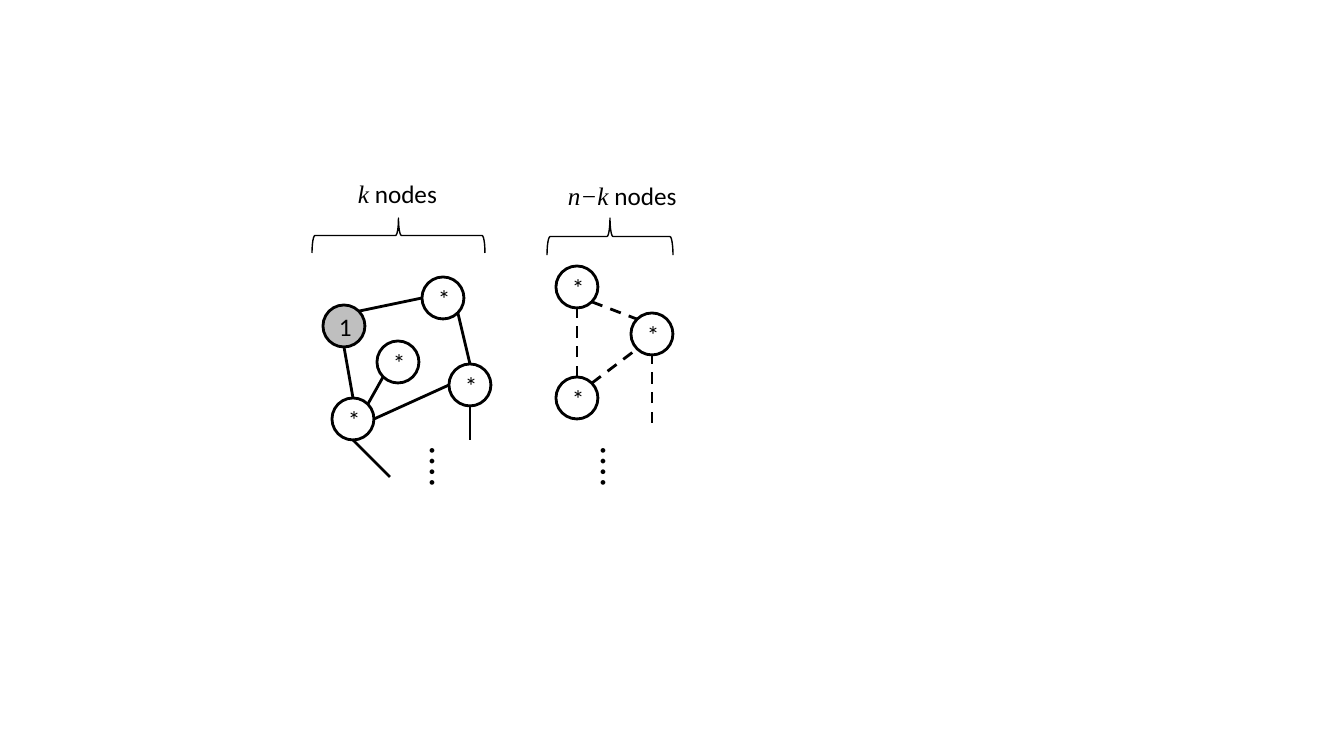
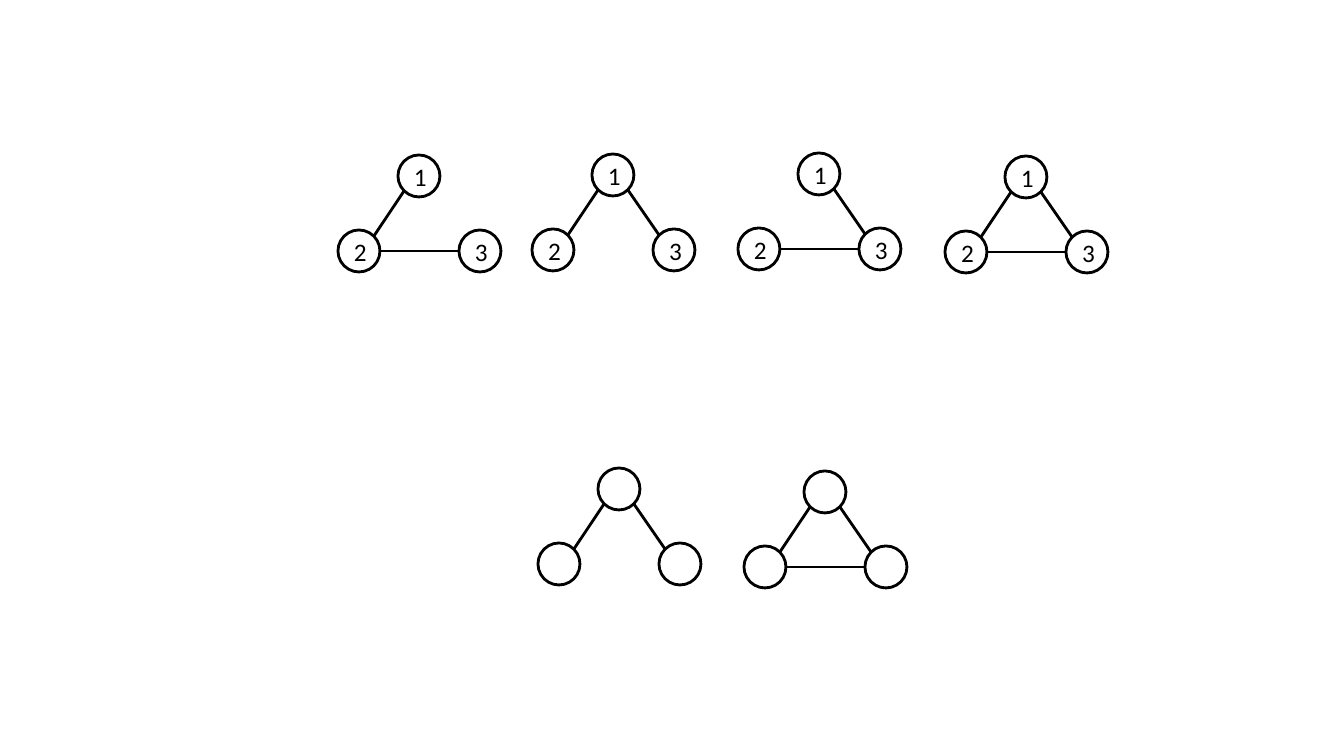
"""Build two slides of node-and-edge graphs."""
from math import sqrt

from lxml import etree
from pptx import Presentation
from pptx.dml.color import RGBColor
from pptx.enum.dml import MSO_LINE
from pptx.enum.shapes import MSO_CONNECTOR, MSO_SHAPE
from pptx.enum.text import MSO_ANCHOR, MSO_AUTO_SIZE, PP_ALIGN
from pptx.oxml.ns import qn
from pptx.util import Pt

DASH = MSO_LINE.DASH
STRAIGHT = MSO_CONNECTOR.STRAIGHT
ELLIPSE, BRACE = MSO_SHAPE.OVAL, MSO_SHAPE.RIGHT_BRACE
MIDDLE = MSO_ANCHOR.MIDDLE
GROW = MSO_AUTO_SIZE.SHAPE_TO_FIT_TEXT
CENTER, LEFT = PP_ALIGN.CENTER, PP_ALIGN.LEFT
SANS, SERIF = "Calibri", "Times New Roman"
INK, SHADE = "000000", "BFBFBF"
EMU_PER_PIXEL = 914400 / 100.8
RADIUS = 21
DIAGONAL = 1 / sqrt(2)
SITES = {
    "N": (0, -1), "S": (0, 1), "W": (-1, 0), "E": (1, 0),
    "NE": (DIAGONAL, -DIAGONAL), "NW": (-DIAGONAL, -DIAGONAL),
    "SE": (DIAGONAL, DIAGONAL), "SW": (-DIAGONAL, DIAGONAL),
}


def px(*lengths):
    """Turn pixels into EMU."""
    return [round(length * EMU_PER_PIXEL) for length in lengths]


def color(hex_value):
    """Turn a hex string into a colour."""
    return RGBColor.from_string(hex_value)


def write(frame, text, font=SANS, size=18, italic=False, align=LEFT):
    """Append one formatted run to the first paragraph of a frame."""
    paragraph = frame.paragraphs[0]
    paragraph.alignment = align
    run = paragraph.add_run()
    run.text = text
    run.font.name = font
    run.font.size = Pt(size)
    run.font.italic = italic
    run.font.color.rgb = color(INK)


def rim(center, site):
    """Return the point of a node's outline that faces a compass site."""
    return tuple(c + RADIUS * d for c, d in zip(center, SITES[site]))


class GraphDeck:
    """Hold the presentation, its shared style and the current slide."""

    def __init__(self):
        """Start a wide presentation."""
        self.deck = Presentation()
        self.deck.slide_width, self.deck.slide_height = px(1344, 756)
        self.slide = None

    def new_slide(self):
        """Add a blank slide and make it current."""
        self.slide = self.deck.slides.add_slide(self.deck.slide_layouts[6])

    def outline(self, kind, left, top, width, height, weight, fill=None):
        """Add a preset shape with a black outline."""
        shape = self.slide.shapes.add_shape(kind, *px(left, top, width, height))
        shape.shadow.inherit = False
        if fill:
            shape.fill.solid()
            shape.fill.fore_color.rgb = color(fill)
        else:
            shape.fill.background()
        shape.line.color.rgb = color(INK)
        shape.line.width = Pt(weight)
        return shape

    def node(self, center, label="", fill=None):
        """Add a round node with an optional label."""
        x, y = center
        circle = self.outline(ELLIPSE, x - RADIUS, y - RADIUS,
                              2 * RADIUS, 2 * RADIUS, 2, fill)
        if label:
            circle.text_frame.vertical_anchor = MIDDLE
            write(circle.text_frame, label, align=CENTER)

    def edge(self, start, end, dash=None):
        """Add a straight line between two points."""
        line = self.slide.shapes.add_connector(STRAIGHT, *px(*start, *end))
        line.line.color.rgb = color(INK)
        line.line.width = Pt(2)
        if dash:
            line.line.dash_style = dash
        etree.SubElement(line._element.spPr, qn("a:effectLst"))

    def brace(self, left, top, width, height):
        """Add a brace that lies over a group and points up."""
        inset = (width - height) / 2
        self.outline(BRACE, left + inset, top - inset,
                     height, width, 1).rotation = 270

    def text_box(self, left, top, width, height, wrap):
        """Add a text box and return its frame."""
        box = self.slide.shapes.add_textbox(*px(left, top, width, height))
        box.text_frame.word_wrap = wrap
        box.text_frame.auto_size = GROW
        return box.text_frame

    def count(self, left, top, width, variable):
        """Add a node count with its variable in italics."""
        frame = self.text_box(left, top, width, 40, False)
        write(frame, variable, font=SERIF, italic=True)
        write(frame, " nodes")

    def ellipsis(self, left, top):
        """Add vertical dots that show the group goes on."""
        write(self.text_box(left, top, 5, 57, True), "\u205e", size=28)

    def triad(self, apex, links, labels=("", "", "")):
        """Add three nodes in a triangle, joined by the given links."""
        x, y = apex
        left, right = (x - 60, y + 75), (x + 61, y + 75)
        sides = {
            "12": (rim(apex, "SW"), rim(left, "NE")),
            "13": (rim(apex, "SE"), rim(right, "NW")),
            "23": (rim(left, "E"), rim(right, "W")),
        }
        for center, label in zip((apex, left, right), labels):
            self.node(center, label)
        for link in links:
            self.edge(*sides[link])


def build_components(deck):
    """Draw the component of node 1 beside the remaining nodes."""
    deck.new_slide()
    nodes = {
        "root": (344, 326), "upper": (443, 298), "right": (470, 385),
        "lower": (353, 419), "inner": (398, 362),
        "rest_top": (577, 287), "rest_bottom": (577, 398), "rest_right": (652, 334),
    }
    for name, center in nodes.items():
        is_root = name == "root"
        deck.node(center, "1" if is_root else "*", SHADE if is_root else None)
    links = [
        ("root", "NE", "upper", "W", None),
        ("upper", "SE", "right", "N", None),
        ("lower", "N", "root", "S", None),
        ("right", "W", "lower", "E", None),
        ("inner", "SW", "lower", "NE", None),
        ("rest_bottom", "N", "rest_top", "S", DASH),
        ("rest_bottom", "NE", "rest_right", "SW", DASH),
        ("rest_top", "SE", "rest_right", "NW", DASH),
    ]
    for first, first_site, second, second_site, dash in links:
        deck.edge(rim(nodes[first], first_site), rim(nodes[second], second_site), dash)
    open_ends = [("lower", (390, 477), None), ("right", (470, 440), None),
                 ("rest_right", (652, 423), DASH)]
    for name, end, dash in open_ends:
        deck.edge(end, rim(nodes[name], "S"), dash)
    for left in (427, 598):
        deck.ellipsis(left, 434)
    deck.brace(312, 218, 173, 35)
    deck.brace(547, 218, 126, 37)
    deck.count(348, 173, 101, "k")
    deck.count(558, 175, 130, "n\u2212k")


def build_triads(deck):
    """Draw the labelled connected graphs above the unlabelled ones."""
    deck.new_slide()
    labelled = [((419, 176), ("12", "23")), ((613, 175), ("12", "13")),
                ((819, 174), ("13", "23")), ((1026, 177), ("12", "13", "23"))]
    for apex, links in labelled:
        deck.triad(apex, links, "123")
    deck.triad((619, 489), ("12", "13"))
    deck.triad((825, 492), ("12", "13", "23"))


graphs = GraphDeck()
build_components(graphs)
build_triads(graphs)
graphs.deck.save("out.pptx")
